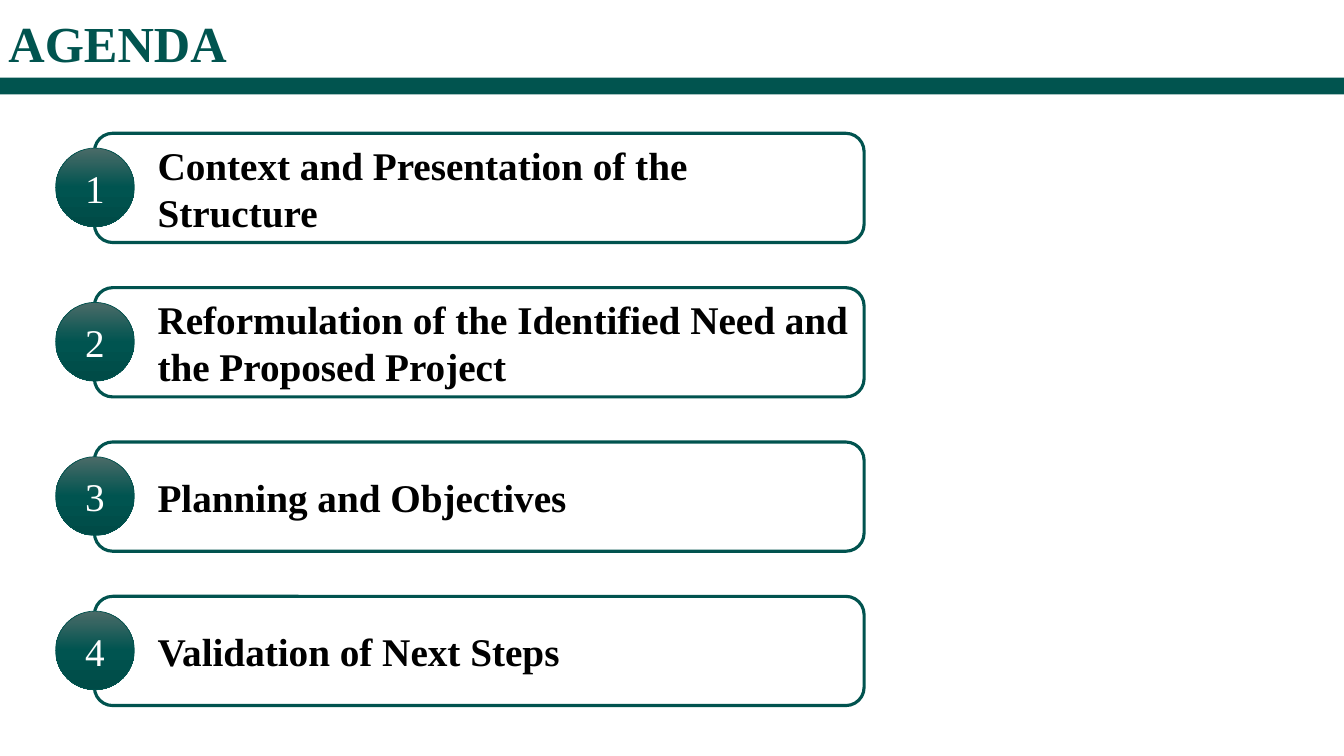
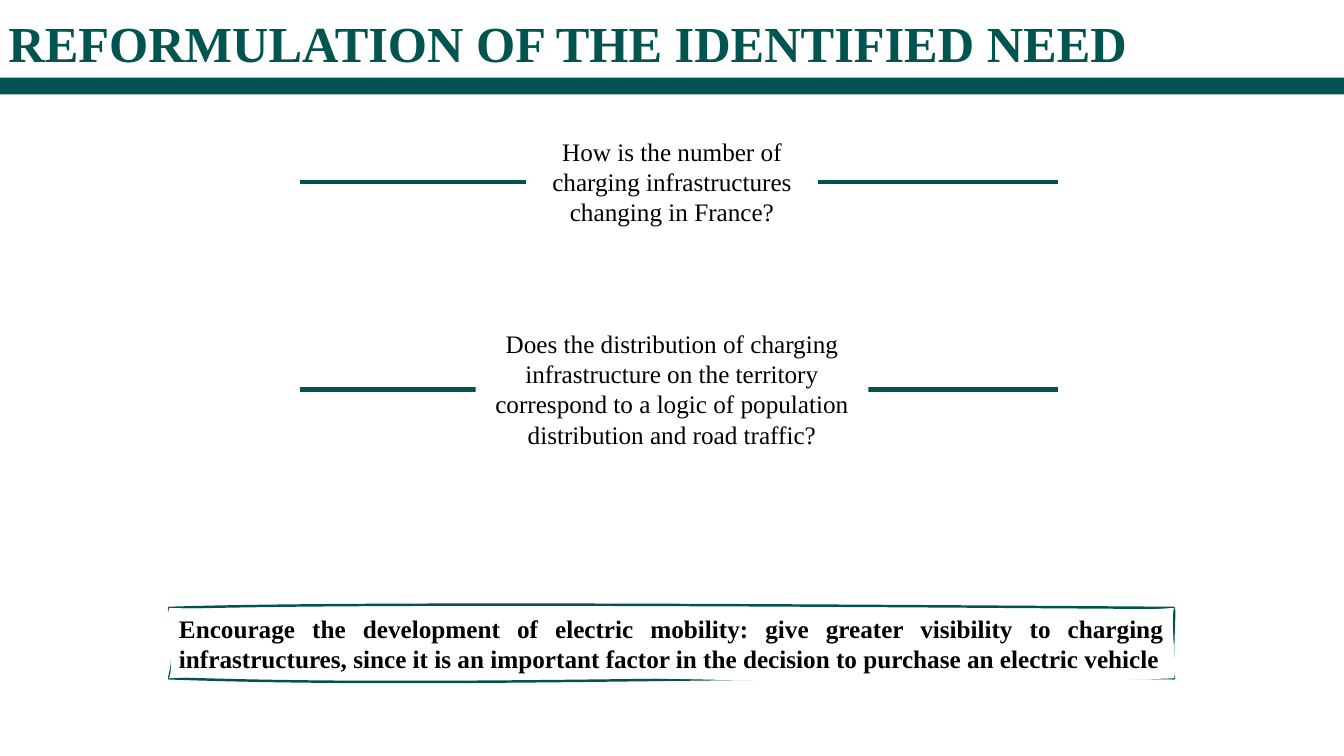
from copy import deepcopy
from dataclasses import dataclass

from lxml.etree import SubElement
from pptx import Presentation
from pptx.dml.color import RGBColor
from pptx.enum.shapes import MSO_CONNECTOR, MSO_SHAPE
from pptx.enum.text import MSO_ANCHOR, MSO_AUTO_SIZE, PP_ALIGN
from pptx.oxml.ns import qn
from pptx.presentation import Presentation as Deck
from pptx.shapes.autoshape import Shape
from pptx.slide import Slide
from pptx.util import Emu, Pt

EMU_PER_PX = 9525
SLIDE_WIDTH, SLIDE_HEIGHT = 1280, 720
TITLE_ONLY = 5

Point = tuple[int, int]


@dataclass(frozen=True)
class Theme:
    font: str = "Times New Roman"
    band: RGBColor = RGBColor.from_string("01544F")
    accent: RGBColor = RGBColor.from_string("01534F")
    ink: RGBColor = RGBColor.from_string("000000")
    paper: RGBColor = RGBColor.from_string("FFFFFF")
    badge_stops: tuple[tuple[float, RGBColor], ...] = (
        (0.0, RGBColor.from_string("4B6B68")),
        (0.5, RGBColor.from_string("005450")),
        (1.0, RGBColor.from_string("004B47")),
    )
    title_size: int = 36
    agenda_size: int = 28
    body_size: int = 18


@dataclass(frozen=True)
class Box:
    left: int
    top: int
    width: int
    height: int

    def emu(self) -> tuple[Emu, Emu, Emu, Emu]:
        return px(self.left), px(self.top), px(self.width), px(self.height)


@dataclass(frozen=True)
class Question:
    text: str
    middle: int
    width: int
    height: int


@dataclass(frozen=True)
class Outline:
    controls: tuple[tuple[Point, Point], ...]
    flag: str
    value: str


THEME = Theme()
TITLE_BOX = Box(8, 11, 1250, 58)
BAND_BOX = Box(0, 74, SLIDE_WIDTH, 16)

AGENDA = (
    "Context and Presentation of the Structure",
    "Reformulation of the Identified Need and the Proposed Project",
    "Planning and Objectives",
    "Validation of Next Steps",
)
FIRST_ENTRY = Box(90, 127, 733, 104)
ENTRY_PITCH = 147
ENTRY_INDENT = 47
BADGE_SIZE = 75

QUESTIONS = (
    Question(
        "How is the number of charging infrastructures changing in France?",
        173, 278, 97,
    ),
    Question(
        "Does the distribution of charging infrastructure on the territory "
        "correspond to a logic of population distribution and road traffic?",
        371, 374, 126,
    ),
)
QUESTION_CENTER = SLIDE_WIDTH // 2
RULE_LEFT, RULE_RIGHT = 286, 1008

GOAL = (
    "Encourage the development of electric mobility: give greater visibility to "
    "charging infrastructures, since it is an important factor in the decision "
    "to purchase an electric vehicle"
)
GOAL_CORNERS = ((161, 579), (1118, 579), (1118, 646), (161, 646))
GOAL_OUTLINES = (
    Outline(
        (
            ((339, 573), (827, 577)),
            ((1119, 588), (1116, 613)),
            ((737, 641), (436, 656)),
            ((167, 624), (165, 593)),
        ),
        "fill", "none",
    ),
    Outline(
        (
            ((618, 591), (946, 590)),
            ((1114, 596), (1122, 636)),
            ((717, 660), (421, 630)),
            ((166, 635), (159, 598)),
        ),
        "stroke", "0",
    ),
)


def px(length: int) -> Emu:
    return Emu(length * EMU_PER_PX)


def write(
    shape: Shape,
    text: str,
    size: int,
    color: RGBColor,
    bold: bool = False,
    align: PP_ALIGN = PP_ALIGN.LEFT,
    anchor: MSO_ANCHOR = MSO_ANCHOR.MIDDLE,
    indent: int = 0,
) -> None:
    frame = shape.text_frame
    frame.word_wrap = True
    frame.auto_size = MSO_AUTO_SIZE.NONE
    frame.vertical_anchor = anchor
    paragraph = frame.paragraphs[0]
    paragraph.alignment = align
    if indent:
        paragraph._p.get_or_add_pPr().set("marL", str(px(indent)))
    run = paragraph.add_run()
    run.text = text
    run.font.name = THEME.font
    run.font.size = Pt(size)
    run.font.bold = bold
    run.font.color.rgb = color


def set_insets(shape: Shape, horizontal: int, vertical: int) -> None:
    frame = shape.text_frame
    frame.margin_left = frame.margin_right = px(horizontal)
    frame.margin_top = frame.margin_bottom = px(vertical)


def style(
    shape: Shape,
    fill: RGBColor,
    line: RGBColor | None = None,
    line_width: float = 0,
) -> None:
    shape.shadow.inherit = False
    shape.fill.solid()
    shape.fill.fore_color.rgb = fill
    if line is None:
        shape.line.fill.background()
    else:
        shape.line.color.rgb = line
        shape.line.width = Pt(line_width)


def shade(shape: Shape) -> None:
    fill = shape.fill
    fill.gradient()
    fill.gradient_angle = 270
    stop_list = shape._element.spPr.find(qn("a:gradFill")).find(qn("a:gsLst"))
    stop_list.append(deepcopy(stop_list[-1]))
    for stop, (position, color) in zip(fill.gradient_stops, THEME.badge_stops):
        stop.position = position
        stop.color.rgb = color


def add_titled_slide(deck: Deck, heading: str) -> Slide:
    slide = deck.slides.add_slide(deck.slide_layouts[TITLE_ONLY])
    band = slide.shapes.add_shape(MSO_SHAPE.RECTANGLE, *BAND_BOX.emu())
    style(band, THEME.band)
    title = slide.shapes.title
    title.left, title.top, title.width, title.height = TITLE_BOX.emu()
    set_insets(title, 0, 0)
    write(title, heading, THEME.title_size, THEME.band, bold=True)
    return slide


def add_agenda_entry(slide: Slide, number: int, text: str) -> None:
    group = slide.shapes.add_group_shape()
    top = FIRST_ENTRY.top + (number - 1) * ENTRY_PITCH
    entry_box = Box(FIRST_ENTRY.left, top, FIRST_ENTRY.width, FIRST_ENTRY.height)
    entry = group.shapes.add_shape(MSO_SHAPE.ROUNDED_RECTANGLE, *entry_box.emu())
    style(entry, THEME.paper, THEME.accent, 2.25)
    set_insets(entry, 8, 4)
    write(entry, text, THEME.agenda_size, THEME.ink, bold=True, indent=ENTRY_INDENT)

    badge_box = Box(
        entry_box.left - BADGE_SIZE // 2,
        top + (entry_box.height - BADGE_SIZE) // 2,
        BADGE_SIZE,
        BADGE_SIZE,
    )
    badge = group.shapes.add_shape(MSO_SHAPE.OVAL, *badge_box.emu())
    style(badge, THEME.accent, THEME.accent, 0.5)
    shade(badge)
    set_insets(badge, 8, 4)
    write(badge, str(number), THEME.agenda_size, THEME.paper, align=PP_ALIGN.CENTER)


def add_question(slide: Slide, question: Question) -> None:
    rule = slide.shapes.add_connector(
        MSO_CONNECTOR.STRAIGHT,
        px(RULE_LEFT), px(question.middle), px(RULE_RIGHT), px(question.middle),
    )
    rule.line.color.rgb = THEME.accent
    rule.line.width = Pt(3)
    SubElement(rule._element.spPr, qn("a:effectLst"))

    panel_box = Box(
        QUESTION_CENTER - question.width // 2,
        question.middle - question.height // 2,
        question.width,
        question.height,
    )
    panel = slide.shapes.add_shape(MSO_SHAPE.RECTANGLE, *panel_box.emu())
    style(panel, THEME.paper)
    write(panel, question.text, THEME.body_size, THEME.ink,
          align=PP_ALIGN.CENTER, anchor=MSO_ANCHOR.TOP)


def bend(shape: Shape, corners: tuple[Point, ...], outlines: tuple[Outline, ...]) -> None:
    left, top = corners[0]
    ends = corners[1:] + corners[:1]
    straight = next(shape._element.spPr.iter(qn("a:path")))
    outline_list = straight.getparent()
    for outline in outlines:
        curved = deepcopy(straight)
        curved.set(outline.flag, outline.value)
        for step in curved[1:]:
            curved.remove(step)
        for controls, end in zip(outline.controls, ends):
            curve = SubElement(curved, qn("a:cubicBezTo"))
            for x, y in (*controls, end):
                SubElement(curve, qn("a:pt"), x=str(x - left), y=str(y - top))
        SubElement(curved, qn("a:close"))
        outline_list.append(curved)
    outline_list.remove(straight)


def add_goal(slide: Slide) -> None:
    builder = slide.shapes.build_freeform(*GOAL_CORNERS[0], scale=EMU_PER_PX)
    builder.add_line_segments(GOAL_CORNERS[1:], close=True)
    goal = builder.convert_to_shape()
    bend(goal, GOAL_CORNERS, GOAL_OUTLINES)
    style(goal, THEME.paper, THEME.accent, 1.75)
    write(goal, GOAL, THEME.body_size, THEME.ink, bold=True,
          align=PP_ALIGN.JUSTIFY, anchor=MSO_ANCHOR.TOP)


def main() -> None:
    deck = Presentation()
    deck.slide_width, deck.slide_height = px(SLIDE_WIDTH), px(SLIDE_HEIGHT)

    agenda = add_titled_slide(deck, "AGENDA")
    for number, text in enumerate(AGENDA, start=1):
        add_agenda_entry(agenda, number, text)

    need = add_titled_slide(deck, "REFORMULATION OF THE IDENTIFIED NEED")
    for question in QUESTIONS:
        add_question(need, question)
    add_goal(need)

    deck.save("out.pptx")


if __name__ == "__main__":
    main()
